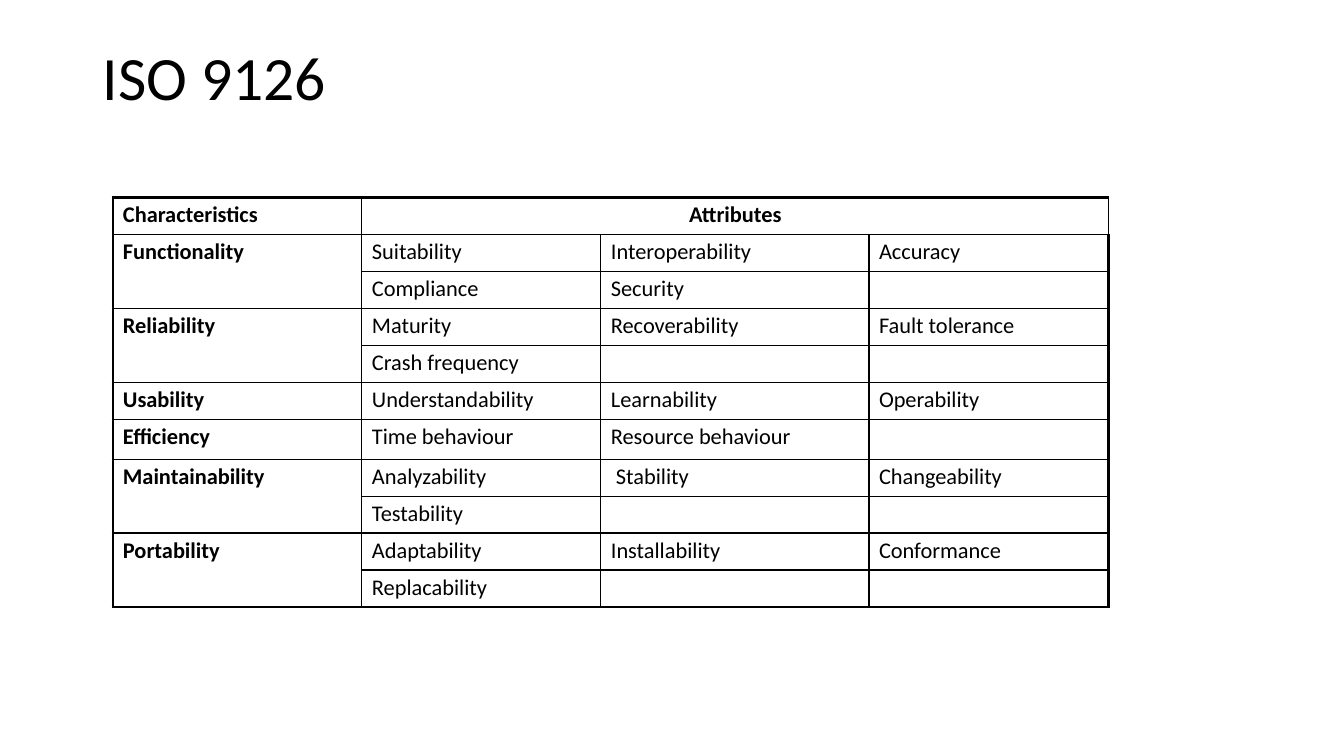
from pptx import Presentation
from pptx.dml.color import RGBColor
from pptx.enum.text import MSO_ANCHOR, PP_ALIGN
from pptx.oxml.ns import qn
from pptx.util import Inches, Pt
from lxml import etree

BLACK = RGBColor(0, 0, 0)
LEFT, CENTER = PP_ALIGN.LEFT, PP_ALIGN.CENTER
MIDDLE = MSO_ANCHOR.MIDDLE
THIN, THICK = Pt(1), Pt(2.25)

# Table content: each characteristic with its rows of attributes
TRAITS = {
    "Functionality": [["Suitability", "Interoperability", "Accuracy"],
                      ["Compliance", "Security"]],
    "Reliability": [["Maturity", "Recoverability", "Fault tolerance"],
                    ["Crash frequency"]],
    "Usability": [["Understandability", "Learnability", "Operability"]],
    "Efficiency": [["Time behaviour", "Resource behaviour"]],
    "Maintainability": [["Analyzability", "Stability", "Changeability"],
                        ["Testability"]],
    "Portability": [["Adaptability", "Installability", "Conformance"],
                    ["Replacability"]],
}
INDENT = {"Attributes": 0, "Stability": 0.15}

# Sizes in percent of the slide
WIDTHS = [18.53, 17.78, 19.95, 17.85]
ROW, TALL = 4.89, 5.29


class Page:
    """Holds the style and the slide; lengths are percent of its size."""
    face = "Calibri"

    def __init__(self, deck):
        self.wide, self.high = deck.slide_width, deck.slide_height
        self.slide = deck.slides.add_slide(deck.slide_layouts[6])

    def x(self, share):
        return round(self.wide * share / 100)

    def y(self, share):
        return round(self.high * share / 100)

    def style(self, para, size, bold=False, align=LEFT):
        para.alignment = align
        font = para.font
        font.name, font.size, font.bold = self.face, Pt(size), bold
        font.color.rgb = BLACK

    def title(self, text, left, top, width, height):
        box = self.slide.shapes.add_textbox(
            self.x(left), self.y(top), self.x(width), self.y(height))
        frame = box.text_frame
        frame.word_wrap, frame.vertical_anchor = True, MIDDLE
        para = frame.paragraphs[0]
        para.text, para.line_spacing = text, 0.9
        self.style(para, 44)

    def table(self, left, top, widths, heights):
        table = self.slide.shapes.add_table(
            len(heights), len(widths), self.x(left), self.y(top),
            self.x(sum(widths)), self.y(sum(heights))).table
        table.first_row = table.horz_banding = False
        for col, width in zip(table.columns, widths):
            col.width = self.x(width)
        for row, height in zip(table.rows, heights):
            row.height = self.y(height)
        return table

    def cell(self, cell, text, bold=False, align=LEFT):
        cell.margin_left = Inches(INDENT.get(text, 0.1))
        cell.margin_top = Inches(0.04)
        cell.margin_right = cell.margin_bottom = 0
        para = cell.text_frame.paragraphs[0]
        para.text = text
        self.style(para, 16, bold, align)

    def frame(self, table):
        """Thin inner lines, thick outer edge, no fill."""
        last, end = len(table.rows) - 1, len(table.columns) - 1
        for r in range(last + 1):
            for c in range(end + 1):
                cell = table.cell(r, c)
                cell.fill.background()
                props = cell._tc.get_or_add_tcPr()
                edges = {"L": c == 0, "R": c == end,
                         "T": r == 0, "B": r == last}
                for spot, (side, outer) in enumerate(edges.items()):
                    line = etree.Element(qn("a:ln" + side),
                                         w=str(THICK if outer else THIN))
                    fill = etree.SubElement(line, qn("a:solidFill"))
                    etree.SubElement(fill, qn("a:srgbClr"), val=str(BLACK))
                    props.insert(spot, line)


deck = Presentation()
deck.slide_width, deck.slide_height = Inches(13.33), Inches(7.5)
page = Page(deck)

# Title
page.title("ISO 9126", 6.9, 5.33, 86.27, 10.67)

# Table grid and header
heights = [ROW] + [TALL if name == "Efficiency" else ROW
                   for name, lines in TRAITS.items() for _ in lines]
table = page.table(8.4, 26.13, WIDTHS, heights)
page.frame(table)
page.cell(table.cell(0, 0), "Characteristics", True)
page.cell(table.cell(0, 1), "Attributes", True, CENTER)
table.cell(0, 1).merge(table.cell(0, 3))

# Table body
row = 1
for name, lines in TRAITS.items():
    page.cell(table.cell(row, 0), name, True)
    if len(lines) > 1:
        table.cell(row, 0).merge(table.cell(row + len(lines) - 1, 0))
    for line in lines:
        for col in range(1, 4):
            text = line[col - 1] if col <= len(line) else ""
            page.cell(table.cell(row, col), text)
        row += 1

deck.save("out.pptx")
